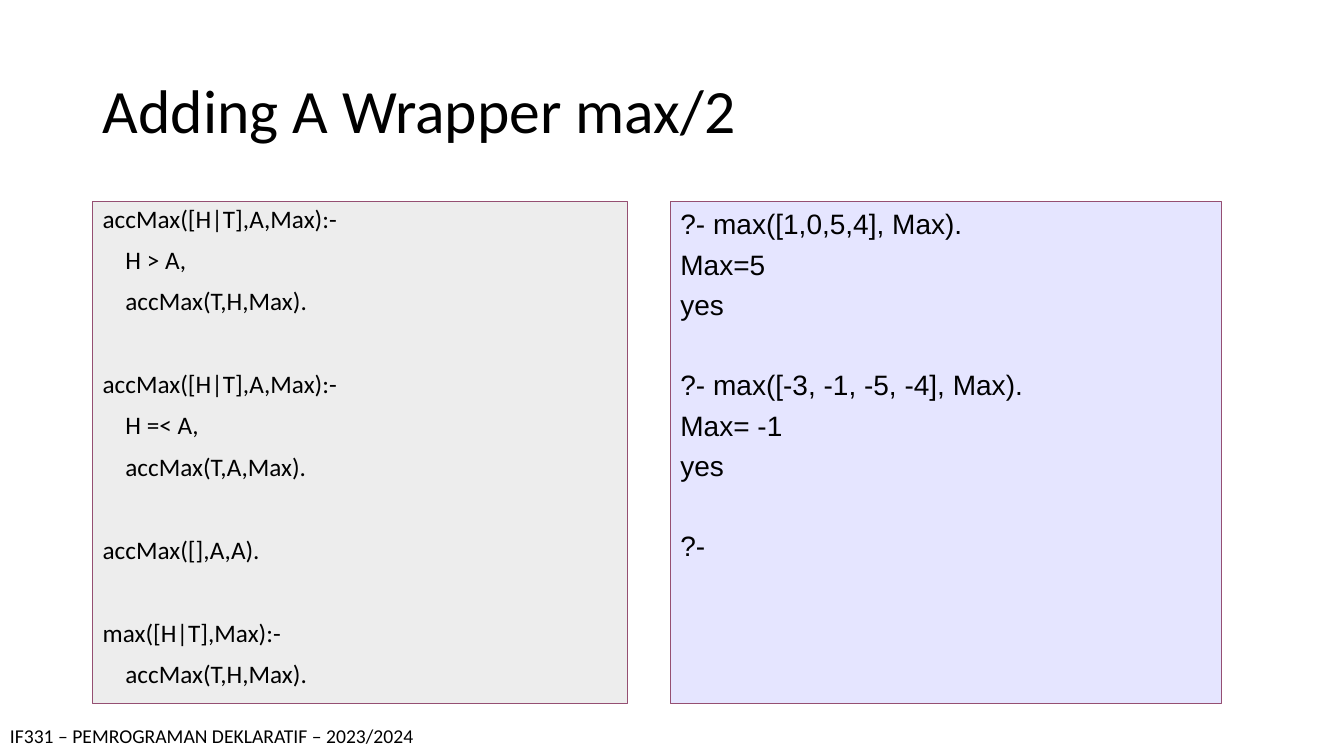
import pptx
import pptx.util
import pptx.dml.color
import pptx.enum.shapes
import pptx.enum.text
import pptx.oxml.ns
from lxml import etree

Inches, Pt = pptx.util.Inches, pptx.util.Pt

# Content
TITLE = "Adding A Wrapper max/2"
FOOTER = "IF331 – PEMROGRAMAN DEKLARATIF – 2023/2024"
CLAUSES = [
    ["accMax([H|T],A,Max):-", "    H > A,", "    accMax(T,H,Max)."],
    ["accMax([H|T],A,Max):-", "    H =< A,", "    accMax(T,A,Max)."],
    ["accMax([],A,A)."],
    ["max([H|T],Max):-", "    accMax(T,H,Max)."],
]
QUERIES = [
    ["?- max([1,0,5,4], Max).", "Max=5", "yes"],
    ["?- max([-3, -1, -5, -4], Max).", "Max= -1", "yes"],
    ["?-"],
]
COLORS = {"text": "000000", "border": "954F72", "code": "DDDDDD", "query": "CCCCFF"}

# Panels: spacing is between lines, group_gap before each later group, in points
PANELS = [
    dict(groups=QUERIES, left=6.65, width=5.47, fill="query", font="Arial", size=20,
         indent=0.38, line_spacing=1.0, spacing=5, group_gap=33),
    dict(groups=CLAUSES, left=0.92, width=5.3, fill="code", font="Calibri", size=18,
         indent=0.25, line_spacing=0.9, spacing=10, group_gap=39.8),
]
PANEL_TOP, PANEL_HEIGHT = 2, 4.98


def color(name):
    return pptx.dml.color.RGBColor.from_string(COLORS[name])


def add_text(paragraph, text, font, size):
    run = paragraph.add_run()
    run.text = text
    run.font.name = font
    run.font.size = Pt(size)
    run.font.color.rgb = color("text")
    paragraph.alignment = pptx.enum.text.PP_ALIGN.LEFT


def add_panel(slide, panel):
    shape = slide.shapes.add_shape(
        pptx.enum.shapes.MSO_SHAPE.RECTANGLE, Inches(panel["left"]), Inches(PANEL_TOP),
        Inches(panel["width"]), Inches(PANEL_HEIGHT))
    shape.shadow.inherit = False
    shape.fill.solid()
    shape.fill.fore_color.rgb = color(panel["fill"])
    fill_color = shape.fill._xPr.find(".//" + pptx.oxml.ns.qn("a:srgbClr"))
    etree.SubElement(fill_color, pptx.oxml.ns.qn("a:alpha"), val="50000")
    shape.line.color.rgb = color("border")
    shape.line.width = Pt(0.75)

    frame = shape.text_frame
    frame.word_wrap = True
    frame.vertical_anchor = pptx.enum.text.MSO_ANCHOR.TOP
    for group_index, group in enumerate(panel["groups"]):
        for line_index, line in enumerate(group):
            first = group_index == line_index == 0
            paragraph = frame.paragraphs[0] if first else frame.add_paragraph()
            gap = panel["spacing"] if line_index else panel["group_gap"]
            paragraph.space_before = Pt(0 if first else gap)
            paragraph.line_spacing = panel["line_spacing"]
            properties = paragraph._p.get_or_add_pPr()
            properties.set("marL", str(Inches(panel["indent"])))
            properties.set("indent", str(-Inches(panel["indent"])))
            add_text(paragraph, line, panel["font"], panel["size"])


def main():
    presentation = pptx.Presentation()
    presentation.slide_width = Inches(13.33)
    presentation.slide_height = Inches(7.5)
    slide = presentation.slides.add_slide(presentation.slide_layouts[5])

    # Title
    title = slide.shapes.title
    title.left, title.top = Inches(0.92), Inches(0.4)
    title.width, title.height = Inches(11.5), Inches(1.45)
    title.text_frame.vertical_anchor = pptx.enum.text.MSO_ANCHOR.MIDDLE
    heading = title.text_frame.paragraphs[0]
    heading.line_spacing = 0.9
    add_text(heading, TITLE, "Calibri", 44)

    # Footer
    footer = slide.shapes.add_textbox(0, Inches(7.13), Inches(13.33), Inches(0.34))
    footer.text_frame.word_wrap = True
    add_text(footer.text_frame.paragraphs[0], FOOTER, "Calibri", 14)

    # Code and query panels
    for panel in PANELS:
        add_panel(slide, panel)

    presentation.save("out.pptx")


if __name__ == "__main__":
    main()
